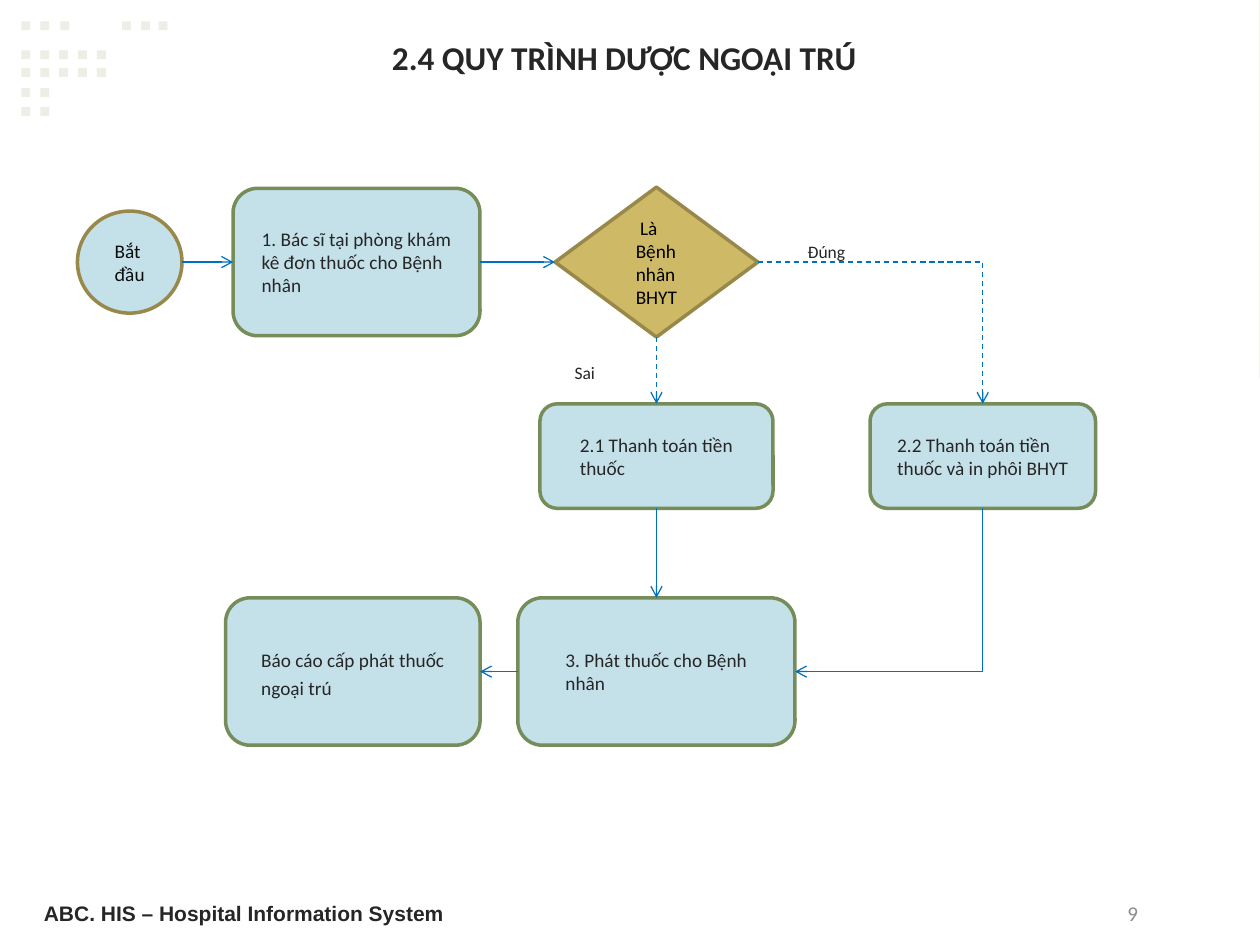
from lxml import etree
from pptx import Presentation
from pptx.dml.color import RGBColor
from pptx.enum import dml, shapes, text
from pptx.oxml import parse_xml
from pptx.oxml.ns import nsdecls, qn
from pptx.util import Inches, Pt

SQUARE = RGBColor(0xEB, 0xEF, 0xE6)
LEAF = RGBColor(0x9C, 0xB0, 0x84)
SKY = RGBColor(0xC4, 0xE0, 0xE9)
GOLD = RGBColor(0xCE, 0xB9, 0x66)
GREEN = RGBColor(0x76, 0x8D, 0x5A)
BRONZE = RGBColor(0x98, 0x89, 0x4B)
BLUE = RGBColor(0x00, 0x70, 0xC0)
INK = RGBColor(0x26, 0x26, 0x26)
DARK = RGBColor(0x0D, 0x0D, 0x0D)
BLACK = RGBColor(0, 0, 0)
GREY = RGBColor(0x8C, 0x8C, 0x8C)

TITLE = "2.4 QUY TRÌNH DƯỢC NGOẠI TRÚ"
FOOTER = "ABC. HIS – Hospital Information System"
PAGE_NUMBER = "9"

KINDS = {  # preset shape, fill, outline, text colour
    "start": (shapes.MSO_SHAPE.OVAL, SKY, BRONZE, DARK),
    "step": (shapes.MSO_SHAPE.ROUNDED_RECTANGLE, SKY, GREEN, INK),
    "choice": (shapes.MSO_SHAPE.FLOWCHART_DECISION, GOLD, BRONZE, BLACK),
}
ROW_1, ROW_2, ROW_3 = 2.08, 3.62, 5.33
CHOICE_X, INSURED_X = 5.21, 7.8
NODES = {  # kind, centre x, centre y, width, height, line spacing, text
    "report": ("step", 2.8, ROW_3, 2.02, 1.17, 1.2, "Báo cáo cấp phát thuốc ngoại trú"),
    "start": ("start", 1.03, ROW_1, 0.83, 0.81, 1, "Bắt đầu"),
    "dispense": ("step", CHOICE_X, ROW_3, 2.2, 1.17, 1, "3. Phát thuốc cho Bệnh nhân"),
    "prescribe": ("step", 2.83, ROW_1, 1.96, 1.17, 1,
                  "1. Bác sĩ tại phòng khám kê đơn thuốc cho Bệnh nhân"),
    "insured": ("choice", CHOICE_X, ROW_1, 1.61, 1.19, 1, " Là Bệnh nhân BHYT"),
    "pay_print": ("step", INSURED_X, ROW_2, 1.79, 0.83, 1,
                  "2.2 Thanh toán tiền thuốc và in phôi BHYT"),
    "pay": ("step", CHOICE_X, ROW_2, 1.85, 0.83, 1, "2.1 Thanh toán tiền thuốc"),
}
TOP, LEFT, BOTTOM, RIGHT = range(4)
LINKS = [  # from, side, to, side, dashed
    ("start", RIGHT, "prescribe", LEFT, False),
    ("prescribe", RIGHT, "insured", LEFT, False),
    ("insured", RIGHT, "pay_print", TOP, True),
    ("insured", BOTTOM, "pay", TOP, True),
    ("pay", BOTTOM, "dispense", TOP, False),
    ("pay_print", BOTTOM, "dispense", RIGHT, False),
    ("dispense", LEFT, "report", RIGHT, False),
]
LABELS = [("Đúng", 6.25, 1.83, 1.49), ("Sai", 4.4, 2.79, 1.25)]

SQUARE_ROWS = [  # top, columns
    (0.17, (0.17, 0.32, 0.48, 0.97, 1.12, 1.26)),
    (0.4, (0.17, 0.32, 0.47, 0.62, 0.77)),
    (0.54, (0.17, 0.32, 0.47, 0.62, 0.77)),
    (0.7, (0.17, 0.32)),
    (0.85, (0.17, 0.32)),
]
CORNER = [
    (8.81, 0), (10, 0), (10, 2.91), (9.98, 2.52), (9.96, 2.17), (9.93, 1.85),
    (9.9, 1.57), (9.86, 1.32), (9.82, 1.1), (9.77, 0.9), (9.71, 0.73), (9.65, 0.58),
    (9.57, 0.45), (9.48, 0.34), (9.37, 0.25), (9.26, 0.17), (9.12, 0.11), (8.98, 0.05),
]
SWOOSH = [
    (8.92, 6.25), (8.92, 6.32), (8.81, 6.41), (8.67, 6.5), (8.52, 6.59), (8.35, 6.67),
    (8.16, 6.75), (7.95, 6.82), (7.73, 6.88), (7.5, 6.94), (7.25, 6.99), (7, 7.04),
    (6.73, 7.09), (6.46, 7.13), (6.17, 7.16), (5.89, 7.19), (5.6, 7.21), (5.31, 7.23),
    (4.72, 7.25), (4.14, 7.25), (3.57, 7.23), (3.04, 7.19), (2.55, 7.12), (2.1, 7.04),
    (1.72, 6.94), (1.42, 6.82), (1.42, 6.79), (1.73, 6.91), (2.12, 7), (2.57, 7.08),
    (3.07, 7.14), (3.61, 7.17), (4.17, 7.19), (4.76, 7.19), (5.34, 7.16), (5.93, 7.12),
    (6.21, 7.09), (6.49, 7.06), (6.76, 7.02), (7.03, 6.97), (7.29, 6.93), (7.53, 6.87),
    (7.76, 6.81), (7.98, 6.75), (8.18, 6.68), (8.37, 6.6), (8.54, 6.52), (8.68, 6.44),
    (8.81, 6.35),
]


def paint(shape, fill, line=None):
    shape.shadow.inherit = False
    shape.fill.solid()
    shape.fill.fore_color.rgb = fill
    if line is None:
        shape.line.fill.background()
    else:
        shape.line.color.rgb = line
        shape.line.width = Pt(2)


def write(shape, words, size, color, margins, font="Calibri", bold=False, spacing=1,
          anchor=text.MSO_ANCHOR.MIDDLE, align=text.PP_ALIGN.LEFT):
    frame = shape.text_frame
    frame.word_wrap = True
    frame.auto_size = text.MSO_AUTO_SIZE.NONE
    frame.vertical_anchor = anchor
    frame.margin_left = frame.margin_right = Inches(margins[0])
    frame.margin_top = frame.margin_bottom = Inches(margins[1])
    para = frame.paragraphs[0]
    para.alignment = align
    para.line_spacing = spacing
    span = para.add_run()
    span.text = words
    span.font.name = font
    span.font.size = Pt(size)
    span.font.bold = bold
    span.font.color.rgb = color


def add_outline(page, points, fill):
    builder = page.shapes.build_freeform(*points[0], scale=Inches(1))
    builder.add_line_segments(points[1:], close=True)
    outline = builder.convert_to_shape()
    paint(outline, fill)
    return outline


def fade_ends(shape, color):
    """Fill from clear white through the colour and back, left to right."""
    stops = [(0, "FFFFFF", 30), (50, color, 100), (100, "FFFFFF", 30)]
    marks = "".join(
        f'<a:gs pos="{at * 1000}"><a:srgbClr val="{tone}">'
        f'<a:alpha val="{alpha * 1000}"/></a:srgbClr></a:gs>' for at, tone, alpha in stops)
    gradient = parse_xml(f'<a:gradFill {nsdecls("a")} rotWithShape="1"><a:gsLst>{marks}'
                         '</a:gsLst><a:lin ang="0" scaled="0"/></a:gradFill>')
    properties = shape._element.spPr
    properties.replace(properties.find(qn("a:solidFill")), gradient)


def add_node(page, kind, center_x, center_y, width, height, spacing, words):
    preset, fill, line, color = KINDS[kind]
    node = page.shapes.add_shape(preset, Inches(center_x - width / 2),
                                 Inches(center_y - height / 2), Inches(width), Inches(height))
    paint(node, fill, line)
    write(node, words, 11, color, (0.16, 0.08), spacing=spacing)
    node.text_frame._txBody.bodyPr.set("anchorCtr", "1")
    return node


def turn_once(link, down_first):
    """Give an elbow a single corner; the default leaves sideways first."""
    properties = link._element.spPr
    properties.find(qn("a:prstGeom")).set("prst", "bentConnector2")
    if down_first:
        middle_x, middle_y = link.left + link.width // 2, link.top + link.height // 2
        link.width, link.height = link.height, link.width
        link.left, link.top = middle_x - link.width // 2, middle_y - link.height // 2
        frame = properties.find(qn("a:xfrm"))
        frame.set("flipH", "0")
        frame.set("rot", "5400000")


def add_link(page, source, source_side, target, target_side, dashed):
    bends = source_side % 2 != target_side % 2
    style = shapes.MSO_CONNECTOR.ELBOW if bends else shapes.MSO_CONNECTOR.STRAIGHT
    link = page.shapes.add_connector(style, 0, 0, 0, 0)
    link.begin_connect(source, source_side)
    link.end_connect(target, target_side)
    if bends:
        turn_once(link, source_side == BOTTOM)
    link.line.color.rgb = BLUE
    link.line.width = Pt(0.75)
    if dashed:
        link.line.dash_style = dml.MSO_LINE.DASH
    etree.SubElement(link.line._get_or_add_ln(), qn("a:tailEnd"), type="arrow")
    etree.SubElement(link._element.spPr, qn("a:effectLst"))


def add_text(page, left, top, width, height, *words, **style):
    box = page.shapes.add_textbox(Inches(left), Inches(top), Inches(width), Inches(height))
    write(box, *words, **style)


def main():
    deck = Presentation()
    deck.slide_width, deck.slide_height = Inches(10), Inches(7.5)
    page = deck.slides.add_slide(deck.slide_layouts[5])

    for top, columns in SQUARE_ROWS:
        for left in columns:
            paint(page.shapes.add_shape(shapes.MSO_SHAPE.RECTANGLE, Inches(left), Inches(top),
                                        Inches(0.07), Inches(0.07)), SQUARE)
    add_outline(page, CORNER, LEAF)
    fade_ends(add_outline(page, SWOOSH, LEAF), LEAF)

    title = page.shapes.title
    title.left, title.top = Inches(0.58), Inches(0.08)
    title.width, title.height = Inches(8.75), Inches(0.58)
    write(title, TITLE, 19, INK, (0.11, 0.06), bold=True, spacing=1.5,
          anchor=text.MSO_ANCHOR.TOP, align=text.PP_ALIGN.CENTER)

    nodes = {name: add_node(page, *details) for name, details in NODES.items()}
    for source, source_side, target, target_side, dashed in LINKS:
        add_link(page, nodes[source], source_side, nodes[target], target_side, dashed)
    for words, left, top, width in LABELS:
        add_text(page, left, top, width, 0.33, words, 10, INK, (0.16, 0.08),
                 anchor=text.MSO_ANCHOR.TOP)

    add_text(page, 0.25, 7.07, 8, 0.35, FOOTER, 12, INK, (0.1, 0.05), font="Arial", bold=True)
    add_text(page, 8.85, 7.07, 0.9, 0.35, PAGE_NUMBER, 12, GREY, (0.1, 0.05))
    deck.save("out.pptx")


if __name__ == "__main__":
    main()
